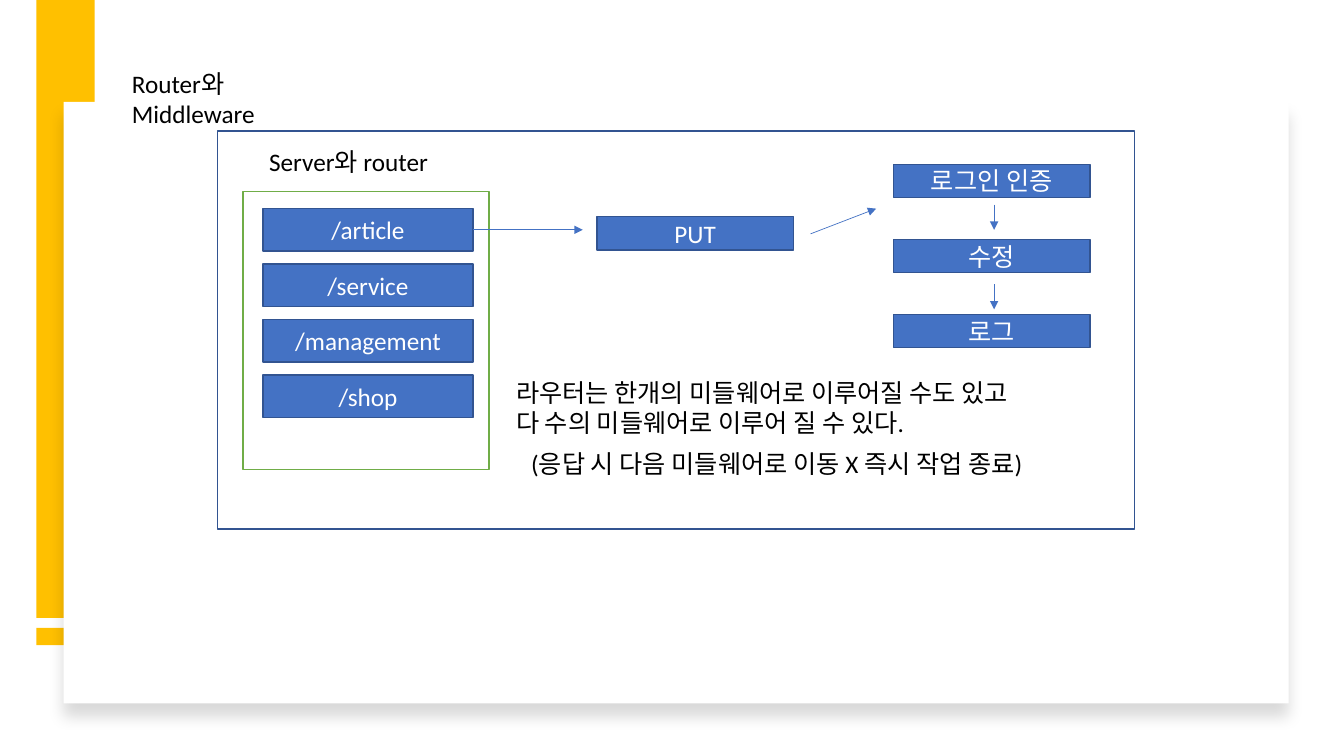
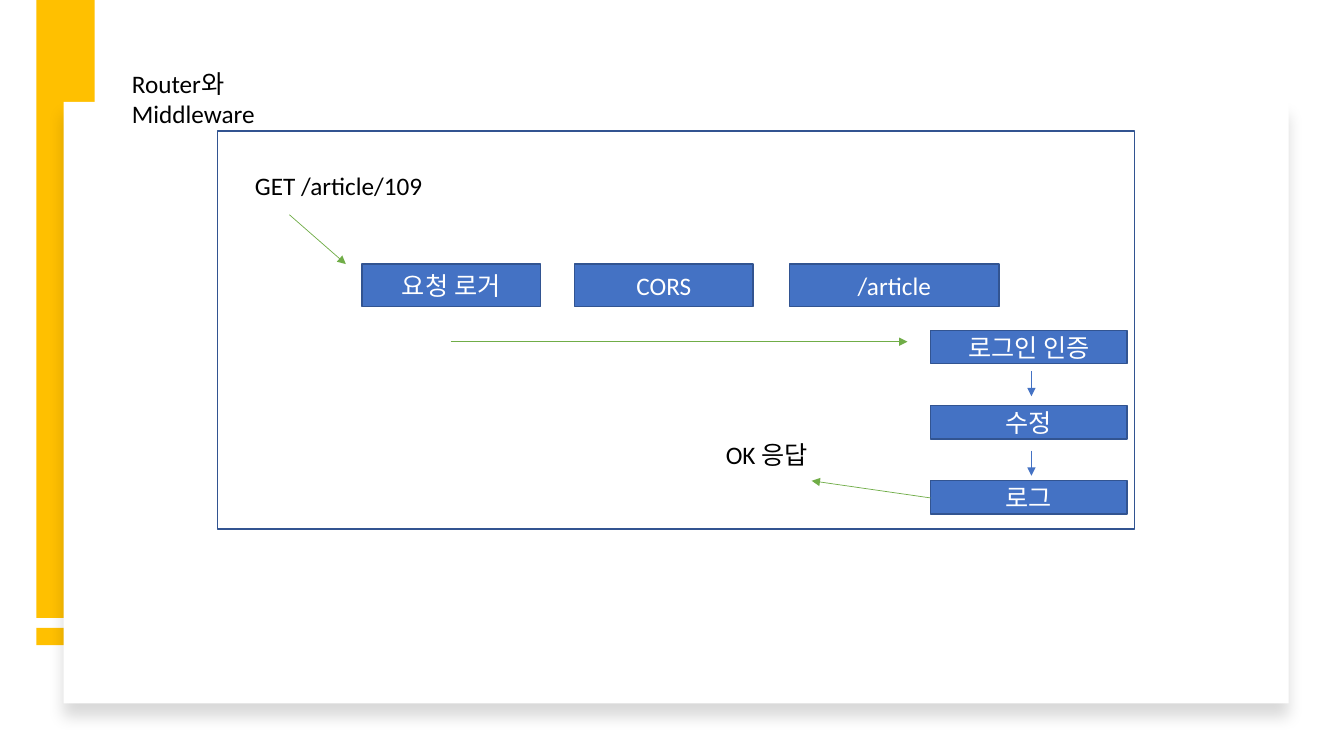
from lxml import etree
from pptx import Presentation
from pptx.dml.color import RGBColor
from pptx.enum import shapes, text
from pptx.oxml import ns, parse_xml
from pptx.util import Inches, Pt

COLORS = {"band": "FFC000", "paper": "FFFFFF", "ink": "000000",
          "box": "4472C4", "edge": "325491", "green": "70AD47"}
FONT, SIZE = "Calibri", 18


def block(slide, words, at, fill=None, line=None, color="paper",
          align=text.PP_ALIGN.CENTER, anchor=text.MSO_ANCHOR.MIDDLE):
    """Text box when neither fill nor line is given, otherwise a rectangle."""
    place = [Inches(v) for v in at]
    if fill or line:
        item = slide.shapes.add_shape(shapes.MSO_SHAPE.RECTANGLE, *place)
        item.shadow.inherit = False
        if fill:
            item.fill.solid()
            item.fill.fore_color.rgb = RGBColor.from_string(COLORS[fill])
        else:
            item.fill.background()
        if line:
            item.line.color.rgb = RGBColor.from_string(COLORS[line])
            item.line.width = Pt(1)
        else:
            item.line.fill.background()
    else:
        item = slide.shapes.add_textbox(*place)
        color, align, anchor = "ink", text.PP_ALIGN.LEFT, text.MSO_ANCHOR.TOP
    if words:
        frame = item.text_frame
        frame.word_wrap = True
        frame.vertical_anchor = anchor
        frame.text = words
        for paragraph in frame.paragraphs:
            paragraph.alignment = align
            for run in paragraph.runs:
                run.font.name, run.font.size = FONT, Pt(SIZE)
                run.font.color.rgb = RGBColor.from_string(COLORS[color])
    return item


def arrow(slide, start, end, color="box"):
    line = slide.shapes.add_connector(
        shapes.MSO_CONNECTOR.STRAIGHT, *[Inches(v) for v in (*start, *end)])
    line.line.color.rgb = RGBColor.from_string(COLORS[color])
    line.line.width = Pt(0.5)
    etree.SubElement(line.line._get_or_add_ln(), ns.qn("a:tailEnd"), type="triangle")
    etree.SubElement(line._element.spPr, ns.qn("a:effectLst"))


deck = Presentation()
deck.slide_width, deck.slide_height = Inches(13.33), Inches(7.5)
routing, request = [deck.slides.add_slide(deck.slide_layouts[6]) for _ in range(2)]

# Shared parts: bands, paper with soft shadow, title, frame, middleware chain
for slide, chain_left, chain_top in ((routing, 8.86, 1.63), (request, 9.23, 3.28)):
    block(slide, "", (0.36, 6.23, 0.58, 0.17), fill="band")
    block(slide, "", (0.36, 0, 0.58, 6.13), fill="band")
    paper = block(slide, "", (0.63, 1.01, 12.15, 5.97), fill="paper")
    paper._element.spPr.find(ns.qn("a:effectLst")).append(parse_xml(
        f'<a:outerShdw {ns.nsdecls("a")} blurRad="{Pt(11)}" dist="{Pt(10)}" dir="5400000"'
        f' algn="t" rotWithShape="0"><a:srgbClr val="{COLORS["ink"]}">'
        '<a:alpha val="15000"/></a:srgbClr></a:outerShdw>'))
    block(slide, "Router와 Middleware", (1.21, 0.63, 1.6, 0.7))
    block(slide, "", (2.16, 1.3, 9.09, 3.95), line="edge")

    for step, middleware in enumerate(("로그인 인증", "수정", "로그")):
        block(slide, middleware, (chain_left, chain_top + 0.745 * step, 1.95, 0.33),
              fill="box", line="edge")
    for drop in (0.4, 1.19):
        arrow(slide, (chain_left + 1, chain_top + drop),
              (chain_left + 1, chain_top + drop + 0.25))

# Slide 1: server routes leading to the middleware
block(routing, "Server와 router", (2.57, 1.4, 1.98, 0.4))
block(routing, "", (2.41, 1.9, 2.44, 2.76), line="green")
for row, route in enumerate(("/article", "/service", "/management", "/shop")):
    block(routing, route, (2.61, 2.07 + 0.55 * row, 2.08, 0.42), fill="box", line="edge")
block(routing, "PUT", (5.92, 2.15, 1.95, 0.33), fill="box", line="edge")
arrow(routing, (4.69, 2.28), (5.78, 2.28))
arrow(routing, (8.04, 2.32), (8.69, 2.07))
block(routing, "라우터는 한개의 미들웨어로 이루어질 수도 있고\n"
      "다 수의 미들웨어로 이루어 질 수 있다.", (5.02, 3.69, 6.36, 0.71))
block(routing, "(응답 시 다음 미들웨어로 이동 X 즉시 작업 종료)", (5.17, 4.4, 6.36, 0.4))

# Slide 2: path of one request
block(request, "GET /article/109", (2.43, 1.64, 5.38, 0.4))
for stage, left, width in (("요청 로거", 3.59, 1.77), ("CORS", 5.7, 1.77),
                           ("/article", 7.83, 2.08)):
    block(request, stage, (left, 2.62, width, 0.42), fill="box", line="edge")
for start, end in (((2.87, 2.13), (3.43, 2.62)), ((4.47, 3.39), (9, 3.39)),
                   ((9.23, 4.94), (8.05, 4.77))):
    arrow(request, start, end, color="green")
block(request, "OK 응답", (7.1, 4.31, 1.19, 0.4))

deck.save("out.pptx")
